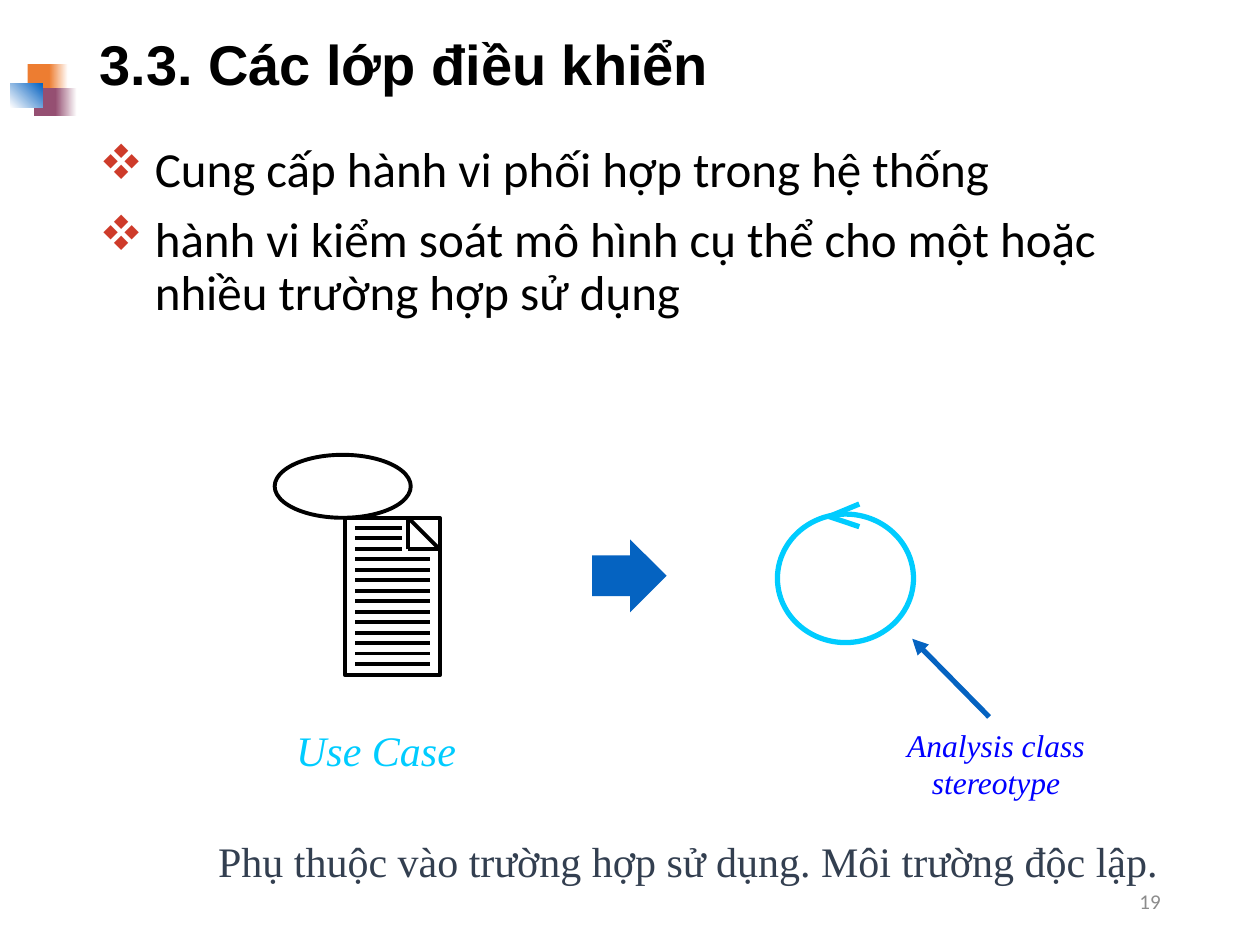
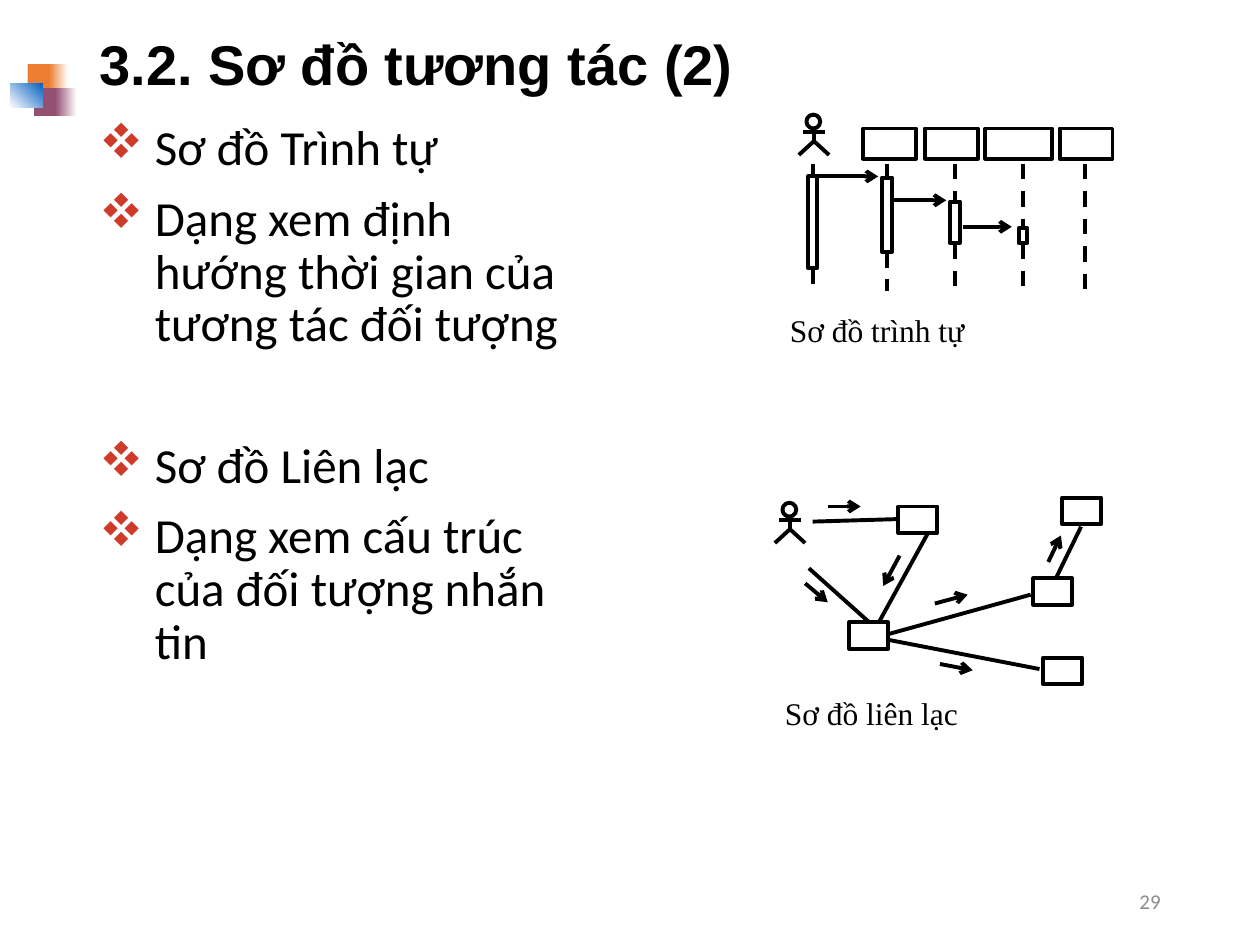
from dataclasses import dataclass
from typing import Optional

from lxml import etree
from pptx import Presentation
from pptx import util as u
from pptx.dml.color import RGBColor
from pptx.enum import dml, shapes, text
from pptx.oxml.ns import qn

COLORS = {
    "black": "000000", "white": "FFFFFF", "orange": "ED7D31",
    "plum": "954F72", "blue": "0563C1", "cyan": "00CCFF",
    "navy": "333F50", "label": "0000FF", "gray": "8C8C8C", "bullet": "CE3B2A",
}
SERIF = "Times New Roman"
RECT = shapes.MSO_SHAPE.RECTANGLE
OVAL = shapes.MSO_SHAPE.OVAL
ALIGN = text.PP_ALIGN


@dataclass
class Tile:
    left: float
    top: float
    width: float
    height: float
    start: str
    end: Optional[str] = None
    angle: float = 0


@dataclass
class Lifeline:
    x: float
    head_left: Optional[float] = None
    head_width: float = 0.42
    bar_top: Optional[float] = None
    bar_bottom: float = 0
    bar_width: float = 0.08


@dataclass
class Segment:
    x1: float
    y1: float
    x2: float
    y2: float
    arrow: Optional[str] = None


LOGO_TILES = [
    Tile(0.22, 0.51, 0.2, 0.22, "orange"),
    Tile(0.39, 0.51, 0.15, 0.22, "orange", "white"),
    Tile(0.27, 0.7, 0.19, 0.22, "plum"),
    Tile(0.44, 0.7, 0.17, 0.22, "plum", "white"),
    Tile(0.08, 0.66, 0.26, 0.19, "white", "blue", 45),
]
LIFELINES = [
    Lifeline(6.45, bar_top=1.4, bar_bottom=2.13, bar_width=0.07),
    Lifeline(7.04, 6.85, bar_top=1.41, bar_bottom=2.0),
    Lifeline(7.58, 7.34, bar_top=1.6, bar_bottom=1.93),
    Lifeline(8.12, 7.82, 0.53, bar_top=1.81, bar_bottom=1.93, bar_width=0.07),
    Lifeline(8.61, 8.41),
]
CALLS = [
    Segment(6.45, 1.4, 6.97, 1.4, "arrow"),
    Segment(7.07, 1.59, 7.51, 1.59, "arrow"),
    Segment(7.64, 1.8, 8.03, 1.8, "arrow"),
]
LINKS = [
    Segment(6.42, 4.51, 6.9, 4.94), Segment(6.45, 4.14, 7.13, 4.12),
    Segment(7.06, 5.08, 8.25, 5.31), Segment(7.06, 5.03, 8.18, 4.72),
    Segment(8.38, 4.59, 8.58, 4.18), Segment(7.36, 4.24, 6.98, 4.93),
]
MESSAGES = [
    Segment(6.39, 4.63, 6.57, 4.78, "arrow"), Segment(7.14, 4.41, 7.01, 4.65, "arrow"),
    Segment(7.42, 4.79, 7.68, 4.72, "arrow"), Segment(7.46, 5.27, 7.72, 5.32, "arrow"),
    Segment(8.32, 4.46, 8.42, 4.25, "arrow"), Segment(6.57, 4.02, 6.83, 4.02, "arrow"),
]
OBJECTS = [(7.13, 4.02), (6.74, 4.94), (8.28, 5.22), (8.2, 4.59), (8.43, 3.95)]


def rgb(name: str) -> RGBColor:
    return RGBColor.from_string(COLORS[name])


def add_text(page, words, left: float, top: float, width: float, height: float, *,
             size: float = 18, font: str = SERIF, color: str = "black",
             bold: bool = False, italic: bool = False, align=ALIGN.LEFT,
             anchor=text.MSO_ANCHOR.TOP, wrap: bool = True, spacing: float = 1.0,
             bullets: bool = False, gaps: tuple = (), inset: float = 0.1):
    box = page.shapes.add_textbox(*map(u.Inches, (left, top, width, height)))
    frame = box.text_frame
    frame.word_wrap = wrap
    frame.vertical_anchor = anchor
    frame.margin_left = frame.margin_right = u.Inches(inset)
    frame.margin_top = frame.margin_bottom = u.Inches(inset / 2)
    for index, line in enumerate([words] if isinstance(words, str) else words):
        para = frame.add_paragraph() if index else frame.paragraphs[0]
        para.alignment = align
        para.line_spacing = spacing
        if gaps:
            para.space_before = u.Pt(gaps[index])
        if bullets:
            add_bullet(para)
        span = para.add_run()
        span.text = line
        span.font.size = u.Pt(size)
        span.font.name = font
        span.font.bold = bold
        span.font.italic = italic
        span.font.color.rgb = rgb(color)


def add_bullet(para) -> None:
    props = para._p.get_or_add_pPr()
    props.set("marL", str(u.Inches(0.44)))
    props.set("indent", str(-u.Inches(0.44)))
    tint = etree.SubElement(props, qn("a:buClr"))
    etree.SubElement(tint, qn("a:srgbClr"), val=COLORS["bullet"])
    etree.SubElement(props, qn("a:buFont"), typeface="Wingdings", charset="2")
    etree.SubElement(props, qn("a:buChar"), char="v")


def style_outline(shape, color: str = "black", weight: float = 2.25) -> None:
    shape.shadow.inherit = False
    shape.fill.background()
    shape.line.color.rgb = rgb(color)
    shape.line.width = u.Pt(weight)


def add_outline(page, kind, left: float, top: float, width: float, height: float,
                color: str = "black", weight: float = 2.25) -> None:
    shape = page.shapes.add_shape(kind, *map(u.Inches, (left, top, width, height)))
    style_outline(shape, color, weight)


def add_solid(page, kind, left: float, top: float, width: float, height: float, color: str):
    shape = page.shapes.add_shape(kind, *map(u.Inches, (left, top, width, height)))
    shape.shadow.inherit = False
    shape.fill.solid()
    shape.fill.fore_color.rgb = rgb(color)
    shape.line.fill.background()
    return shape


def add_line(page, segment: Segment, color: str = "black", weight: float = 2.25,
             dashed: bool = False) -> None:
    ends = (segment.x1, segment.y1, segment.x2, segment.y2)
    line = page.shapes.add_connector(shapes.MSO_CONNECTOR.STRAIGHT, *map(u.Inches, ends))
    line.line.color.rgb = rgb(color)
    line.line.width = u.Pt(weight)
    if dashed:
        line.line.dash_style = dml.MSO_LINE.DASH
    if segment.arrow:
        etree.SubElement(line.get_or_add_ln(), qn("a:tailEnd"), type=segment.arrow)
    etree.SubElement(line._element.spPr, qn("a:effectLst"))


def add_tile(page, tile: Tile) -> None:
    shape = add_solid(page, RECT, tile.left, tile.top, tile.width, tile.height, tile.start)
    if tile.end:
        shape.fill.gradient()
        shape.fill.gradient_angle = tile.angle
        for stop, color in zip(shape.fill.gradient_stops, (tile.start, tile.end)):
            stop.color.rgb = rgb(color)


def add_page(deck, title: str, number: int):
    page = deck.slides.add_slide(deck.slide_layouts[6])
    for tile in LOGO_TILES:
        add_tile(page, tile)
    add_text(page, title, 0.69, 0.13, 8.62, 0.81, size=32, font="Arial", bold=True,
             anchor=text.MSO_ANCHOR.MIDDLE, spacing=0.9)
    add_text(page, str(number), 7.06, 6.95, 2.25, 0.4, size=12, font="Calibri",
             color="gray", align=ALIGN.RIGHT, anchor=text.MSO_ANCHOR.MIDDLE)
    return page


def add_body(page, lines: list, top: float, width: float, height: float, gaps: tuple) -> None:
    add_text(page, lines, 0.69, top, width, height, size=28, font="Calibri",
             spacing=0.9, bullets=True, gaps=gaps)


def add_actor(page, x: float, top: float) -> None:
    add_outline(page, OVAL, x - 0.06, top, 0.11, 0.11)
    add_line(page, Segment(x, top + 0.11, x, top + 0.21))
    add_line(page, Segment(x - 0.09, top + 0.14, x + 0.09, top + 0.14))
    hip, foot = u.Inches(top + 0.21), u.Inches(top + 0.32)
    builder = page.shapes.build_freeform(u.Inches(x - 0.12), foot)
    builder.add_line_segments([(u.Inches(x), hip), (u.Inches(x + 0.12), foot)], close=False)
    style_outline(builder.convert_to_shape())


def add_use_case(page) -> None:
    add_outline(page, OVAL, 2.18, 3.61, 1.08, 0.5)
    add_outline(page, RECT, 2.74, 4.11, 0.75, 1.25)
    corners = [(3.24, 4.11), (3.49, 4.36), (3.24, 4.36)]
    for start, end in zip(corners, corners[1:] + corners[:1]):
        add_line(page, Segment(*start, *end))
    for row in range(14):
        y = 4.19 + row * 1.08 / 13
        add_line(page, Segment(2.82, y, 3.19 if row < 3 else 3.41, y))
    add_text(page, "Use Case", 2.15, 5.7, 1.67, 0.5, size=24, color="cyan",
             italic=True, align=ALIGN.CENTER, wrap=False)


def add_control_class(page) -> None:
    add_outline(page, OVAL, 6.17, 4.08, 1.08, 1.02, "cyan", 3)
    for y in (4.0, 4.18):
        add_line(page, Segment(6.82, y, 6.58, 4.1), "cyan", 3)
    add_line(page, Segment(7.85, 5.69, 7.24, 5.07, "triangle"), "blue", 3)
    add_text(page, "Analysis class stereotype", 6.9, 5.7, 2.01, 0.72, color="label",
             italic=True, align=ALIGN.CENTER, inset=0.12)


def add_lifeline(page, life: Lifeline, top: float = 1.3, bottom: float = 2.31) -> None:
    if life.head_left:
        add_outline(page, RECT, life.head_left, 1.02, life.head_width, 0.24)
    if not life.bar_top:
        add_line(page, Segment(life.x, top, life.x, bottom), dashed=True)
        return
    add_line(page, Segment(life.x, top, life.x, life.bar_top), dashed=True)
    add_line(page, Segment(life.x, life.bar_bottom, life.x, bottom), dashed=True)
    add_outline(page, RECT, life.x - life.bar_width / 2, life.bar_top,
                life.bar_width, life.bar_bottom - life.bar_top)


def build_control_page(deck) -> None:
    page = add_page(deck, "3.3. Các lớp điều khiển", 19)
    add_body(page, [
        "Cung cấp hành vi phối hợp trong hệ thống",
        "hành vi kiểm soát mô hình cụ thể cho một hoặc nhiều trường hợp sử dụng",
    ], 1.1, 8.62, 5.49, (10, 10))
    add_use_case(page)
    arrow = add_solid(page, shapes.MSO_SHAPE.RIGHT_ARROW, 4.7, 4.28, 0.59, 0.58, "blue")
    arrow.adjustments[0], arrow.adjustments[1] = 0.56, 0.5
    add_control_class(page)
    add_text(page, "Phụ thuộc vào trường hợp sử dụng. Môi trường độc lập.",
             1.42, 6.58, 8.08, 0.5, size=24, color="navy", align=ALIGN.CENTER)


def build_interaction_page(deck) -> None:
    page = add_page(deck, "3.2. Sơ đồ tương tác (2)", 29)
    add_body(page, [
        "Sơ đồ Trình tự",
        "Dạng xem định hướng thời gian của tương tác đối tượng",
        "Sơ đồ Liên lạc",
        "Dạng xem cấu trúc của đối tượng nhắn tin",
    ], 0.93, 3.98, 5.66, (10, 10, 50.5, 10))
    add_actor(page, 6.46, 0.91)
    for life in LIFELINES:
        add_lifeline(page, life)
    add_text(page, "Sơ đồ trình tự", 6.17, 2.42, 2.74, 0.4)
    add_actor(page, 6.27, 3.99)
    for segment in CALLS + LINKS + MESSAGES:
        add_line(page, segment)
    for left, top in OBJECTS:
        add_outline(page, RECT, left, top, 0.31, 0.21)
    add_text(page, "Sơ đồ liên lạc", 6.13, 5.46, 2.82, 0.4)


def main() -> None:
    deck = Presentation()
    deck.slide_width, deck.slide_height = u.Inches(10), u.Inches(7.5)
    build_control_page(deck)
    build_interaction_page(deck)
    deck.save("out.pptx")


main()
